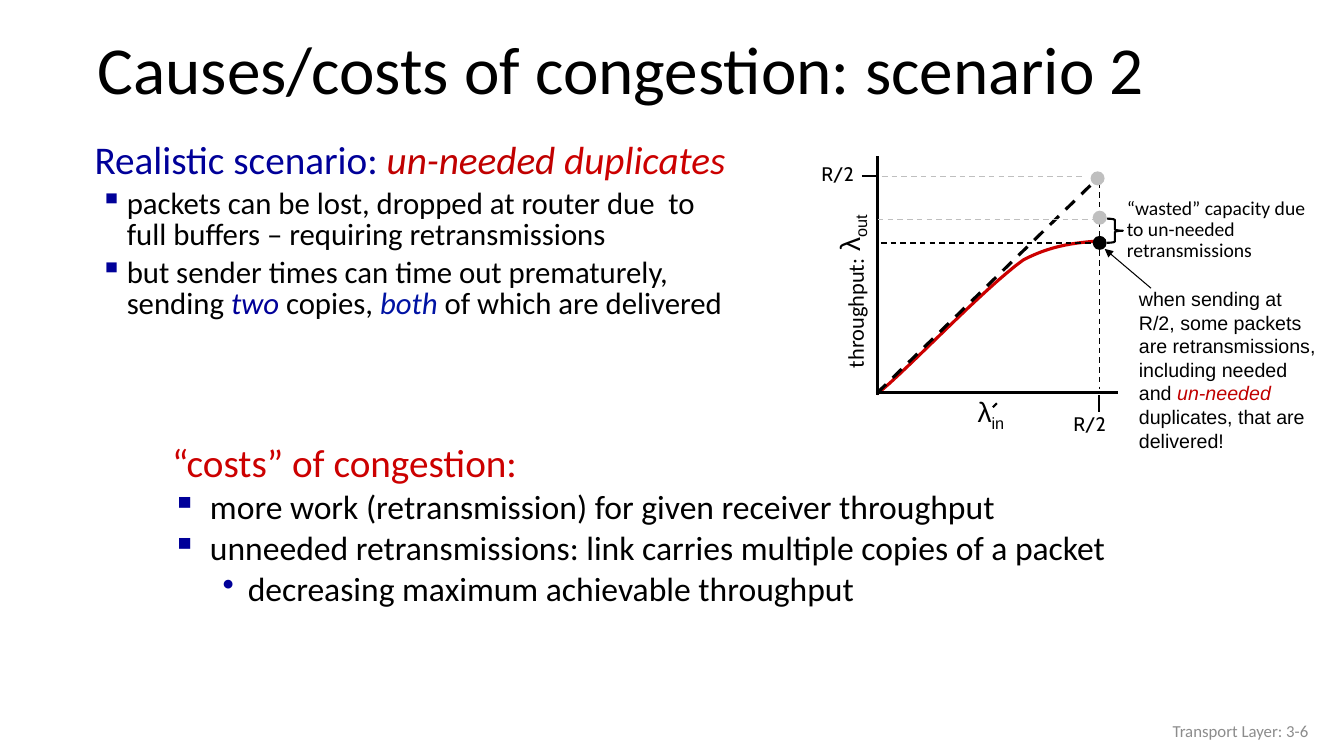
from dataclasses import dataclass, field
from typing import Any

from lxml.etree import SubElement
from pptx import Presentation
from pptx.dml.color import RGBColor
from pptx.enum.dml import MSO_LINE
from pptx.enum.shapes import MSO_CONNECTOR, MSO_SHAPE
from pptx.enum.text import MSO_ANCHOR, PP_ALIGN
from pptx.oxml.ns import qn
from pptx.util import Pt

COLORS = {
    "black": "000000", "navy": "000099", "blue": "0013A3", "red": "CC0000",
    "dark red": "C00000", "gray": "BFBFBF", "footer": "8C8C8C",
}
Point = tuple[float, float]
Box = tuple[float, float, float, float]


@dataclass
class Words:
    text: str
    color: str = "black"
    italic: bool = False
    baseline: int = 0


@dataclass
class Lines:
    """One paragraph with its size, bullet, left margin and first-line indent."""
    words: list[Words]
    size: float
    bullet: str = ""
    margin: float = 0
    indent: float = 0
    formats: dict[str, Any] = field(default_factory=dict)


@dataclass
class Label:
    box: Box
    lines: list[Lines]
    font: str = "Calibri"
    rotation: float = 0
    anchor: MSO_ANCHOR = MSO_ANCHOR.TOP


@dataclass
class Stroke:
    begin: Point
    end: Point
    width: float
    color: str = "black"
    dashed: bool = False
    arrow: bool = False


@dataclass
class Dot:
    left: float
    top: float
    color: str


def rgb(name: str) -> RGBColor:
    return RGBColor.from_string(COLORS[name])


def set_formats(target: Any, formats: dict[str, Any]) -> None:
    for name, value in formats.items():
        setattr(target, name, value)


def spaced(words: list[Words], size: float, bullet: str = "",
           margin: float = 27, indent: float = -27) -> Lines:
    """Body paragraph with tight lines and a fifth of its size above."""
    formats = {"line_spacing": 0.85, "space_before": Pt(0.2 * size)}
    return Lines(words, size, bullet, margin, indent, formats)


def plain(text: str, size: float, color: str = "black", **formats: Any) -> list[Lines]:
    return [Lines([Words(text, color)], size, formats=formats)]


def add_words(paragraph: Any, words: Words, size: float, font: str) -> None:
    run = paragraph.add_run()
    run.text = words.text
    set_formats(run.font, {"name": font, "size": Pt(size), "italic": words.italic})
    run.font.color.rgb = rgb(words.color)
    if words.baseline:
        run._r.get_or_add_rPr().set("baseline", str(words.baseline * 1000))


def add_bullet(paragraph: Any, lines: Lines) -> None:
    properties = paragraph._p.get_or_add_pPr()
    properties.set("marL", str(Pt(lines.margin)))
    properties.set("indent", str(Pt(lines.indent)))
    if lines.bullet:
        color = SubElement(properties, qn("a:buClr"))
        SubElement(color, qn("a:srgbClr"), val=COLORS["navy"])
        SubElement(properties, qn("a:buChar"), char=lines.bullet)


def add_label(slide: Any, label: Label) -> None:
    shape = slide.shapes.add_textbox(*map(Pt, label.box))
    shape.rotation = label.rotation
    frame = shape.text_frame
    set_formats(frame, {"word_wrap": True, "vertical_anchor": label.anchor})
    for index, lines in enumerate(label.lines):
        paragraph = frame.add_paragraph() if index else frame.paragraphs[0]
        set_formats(paragraph, lines.formats)
        add_bullet(paragraph, lines)
        for words in lines.words:
            add_words(paragraph, words, lines.size, label.font)


def set_line(shape: Any, color: str, width: float, dashed: bool = False) -> None:
    shape.line.color.rgb = rgb(color)
    shape.line.width = Pt(width)
    if dashed:
        shape.line.dash_style = MSO_LINE.DASH


def add_stroke(slide: Any, stroke: Stroke) -> None:
    ends = map(Pt, stroke.begin + stroke.end)
    connector = slide.shapes.add_connector(MSO_CONNECTOR.STRAIGHT, *ends)
    set_line(connector, stroke.color, stroke.width, stroke.dashed)
    if stroke.arrow:
        SubElement(connector.line._get_or_add_ln(), qn("a:tailEnd"), type="triangle")
    SubElement(connector._element.spPr, qn("a:effectLst"))


def bezier(points: list[Point], steps: int = 16) -> list[Point]:
    """Points along a cubic curve, without its start."""
    curve = []
    for step in range(1, steps + 1):
        t = step / steps
        weights = ((1 - t) ** 3, 3 * t * (1 - t) ** 2, 3 * t * t * (1 - t), t ** 3)
        curve.append(tuple(sum(w * p[axis] for w, p in zip(weights, points))
                           for axis in (0, 1)))
    return curve


def add_throughput_curve(slide: Any) -> None:
    start, bend, end = (626.4, 281.5), (730.8, 185.8), (786.2, 172.1)
    points = bezier([start, (646.6, 265.7), (702.7, 205.9), bend])
    points += bezier([bend, (744.5, 178.6), (759.6, 173.5), end])
    builder = slide.shapes.build_freeform(*map(Pt, start))
    builder.add_line_segments([(Pt(x), Pt(y)) for x, y in points], close=False)
    curve = builder.convert_to_shape()
    curve.shadow.inherit = False
    curve.fill.background()
    set_line(curve, "red", 2.25)


def add_brace(slide: Any) -> None:
    box = map(Pt, (790.6, 156.2, 11.5, 17.3))
    brace = slide.shapes.add_shape(MSO_SHAPE.RIGHT_BRACE, *box)
    brace.shadow.inherit = False
    brace.fill.background()
    set_line(brace, "black", 1.5)


def add_dot(slide: Any, dot: Dot) -> None:
    box = map(Pt, (dot.left, dot.top, 10, 10))
    shape = slide.shapes.add_shape(MSO_SHAPE.OVAL, *box)
    shape.shadow.inherit = False
    shape.fill.solid()
    shape.fill.fore_color.rgb = rgb(dot.color)
    shape.line.fill.background()


def greek(subscript: str) -> list[Lines]:
    return [Lines([Words("λ"), Words(subscript, baseline=-25)], 20)]


SCENARIO = [
    spaced([Words("Realistic scenario: ", "navy"), Words("un-needed ", "dark red", True),
            Words("duplicates", "red", True)], 28),
    spaced([Words("packets can be lost, dropped at router due  to full buffers "
                  "– requiring retransmissions")], 22, "▪", 23, -19),
    spaced([Words("but sender times can time out prematurely, sending "),
            Words("two ", "navy", True), Words("copies, "), Words("both", "blue", True),
            Words(" of which are delivered")], 22, "▪", 23, -19),
]
COSTS = [
    spaced([Words("“costs” of congestion:", "red")], 28),
    spaced([Words("more work (retransmission) for given receiver throughput")], 24, "▪"),
    spaced([Words("unneeded retransmissions: link carries multiple copies of a packet")],
           24, "▪"),
    spaced([Words("decreasing maximum achievable throughput")], 24, "•", 54, -18),
]
SENDING = [Lines([
    Words("when sending at R/2, some packets are retransmissions, including needed and "),
    Words("un-needed", "dark red", True), Words(" duplicates, that are delivered!")], 14)]
WASTED = "“wasted” capacity due to un-needed retransmissions"

LABELS = [
    Label((62.6, 16.6, 897, 70.6), plain("Causes/costs of congestion: scenario 2", 48,
          line_spacing=0.9), anchor=MSO_ANCHOR.MIDDLE),
    Label((115.9, 314.6, 739.4, 169.9), COSTS),
    Label((60.5, 98.6, 468, 164.2), SCENARIO),
    Label((806.4, 201.6, 143, 126), SENDING, "Arial"),
    Label((797.8, 138.2, 143.3, 53.3), plain(WASTED, 14, line_spacing=0.9)),
    Label((691.2, 278.6, 36, 31.7), greek("in"), "Arial"),
    Label((581.8, 122.4, 73.4, 55.4), greek("out"), "Arial", 270),
    Label((562.3, 208.1, 97.2, 26.6), plain("throughput:", 16), rotation=270),
    Label((579.6, 112.3, 64, 40.3), plain("R/2", 14), "Cabin"),
    Label((759.6, 290.9, 64, 40.3), plain("R/2", 14), "Cabin"),
    Label((725.8, 507.6, 216, 28.8), plain("Transport Layer: 3-6", 12, "footer",
          alignment=PP_ALIGN.RIGHT), anchor=MSO_ANCHOR.MIDDLE),
]
STROKES = [
    Stroke((822.2, 205.9), (789.1, 177.8), 0.75, arrow=True),
    Stroke((709.2, 290.9), (712.1, 288), 1.5),
    Stroke((627.1, 111.6), (627.1, 282.2), 2),
    Stroke((785.5, 130.3), (785.5, 277.9), 1, dashed=True),
    Stroke((626.4, 280.8), (785.5, 126), 2.25, dashed=True),
    Stroke((615.6, 126), (627.1, 126), 1.5),
    Stroke((784.8, 282.2), (784.8, 294.5), 1.5),
    Stroke((630, 126), (774.7, 126), 1, "gray", True),
    Stroke((627.8, 280.1), (798.5, 280.1), 2),
    Stroke((627.1, 157), (782.6, 157), 1, "gray", True),
    Stroke((629.3, 173.5), (784.8, 173.5), 1, dashed=True),
]
DOTS = [Dot(779, 122.4, "gray"), Dot(780.5, 150.5, "gray"), Dot(780.5, 168.5, "black")]


def main() -> None:
    presentation = Presentation()
    set_formats(presentation, {"slide_width": Pt(960), "slide_height": Pt(540)})
    slide = presentation.slides.add_slide(presentation.slide_layouts[6])
    for label in LABELS:
        add_label(slide, label)
    add_brace(slide)
    add_throughput_curve(slide)
    for stroke in STROKES:
        add_stroke(slide, stroke)
    for dot in DOTS:
        add_dot(slide, dot)
    presentation.save("out.pptx")


if __name__ == "__main__":
    main()
